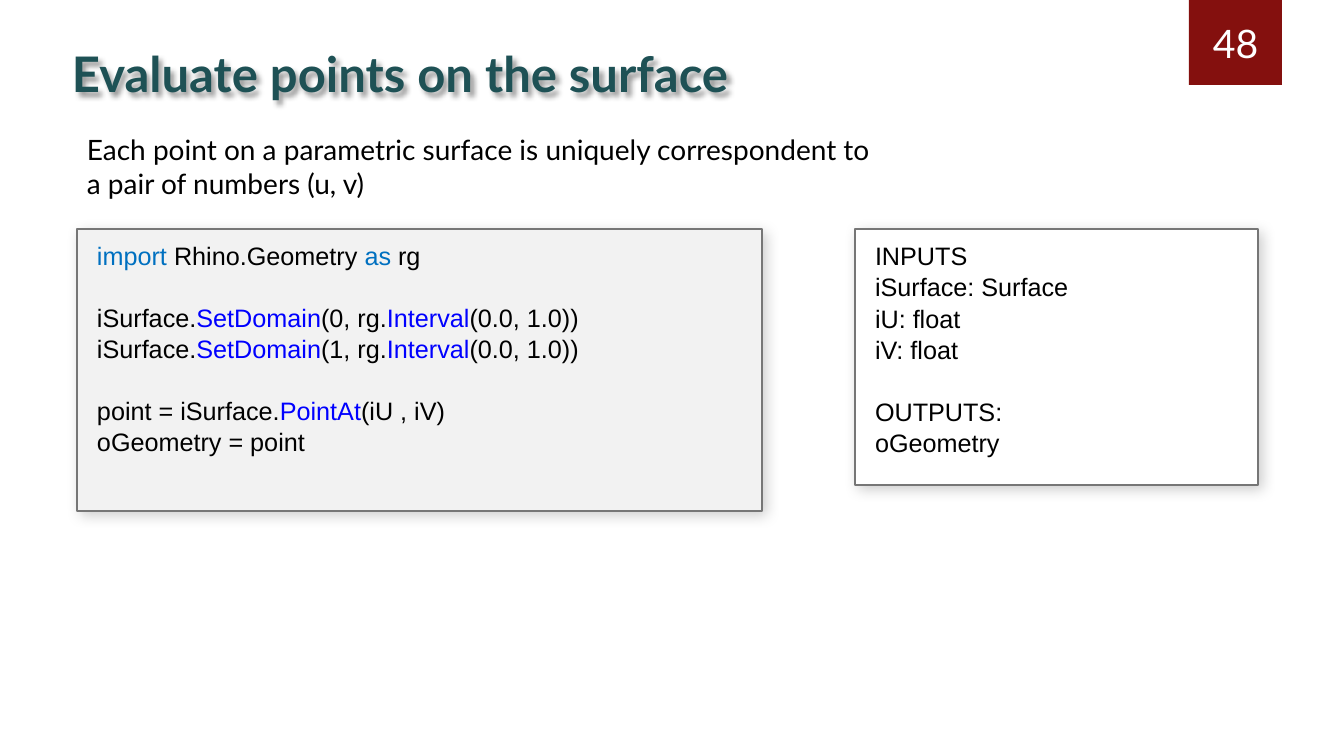
from dataclasses import dataclass

from lxml import etree
from pptx import Presentation
from pptx.dml.color import RGBColor
from pptx.enum.shapes import MSO_SHAPE
from pptx.enum.text import MSO_ANCHOR, PP_ALIGN
from pptx.oxml.ns import qn
from pptx.util import Emu, Pt

RECT = MSO_SHAPE.RECTANGLE
MIDDLE, TOP = MSO_ANCHOR.MIDDLE, MSO_ANCHOR.TOP
CENTER, LEFT = PP_ALIGN.CENTER, PP_ALIGN.LEFT
EMU_PER_PX = 914400 / 100.8


@dataclass(frozen=True)
class Theme:
    sans: str = "Lato"
    code_font: str = "Arial"
    title_size: int = 35
    badge_size: int = 28
    body_size: int = 20
    code_size: int = 18
    code_leading: float = 1.04
    group_gap: float = 21.6
    title: str = "1E5155"
    badge: str = "84100E"
    text: str = "000000"
    white: str = "FFFFFF"
    code_fill: str = "F2F2F2"
    border: str = "767676"
    keyword: str = "0070C0"
    call: str = "0000FF"


T = Theme()
TEXT, KEYWORD, CALL = T.text, T.keyword, T.call


def domain_line(axis):
    return [("iSurface.", TEXT), ("SetDomain", CALL), (f"({axis}, rg.", TEXT),
            ("Interval", CALL), ("(0.0, 1.0))", TEXT)]


CODE = [
    [[("import ", KEYWORD), ("Rhino.Geometry ", TEXT), ("as ", KEYWORD), ("rg", TEXT)]],
    [domain_line(axis) for axis in (0, 1)],
    [[("point = iSurface.", TEXT), ("PointAt", CALL), ("(iU , iV)", TEXT)],
     [("oGeometry = point", TEXT)]],
]
PORTS = [
    [[(line, TEXT)] for line in ("INPUTS", "iSurface: Surface", "iU: float", "iV: float")],
    [[(line, TEXT)] for line in ("OUTPUTS:", "oGeometry")],
]


def px(n):
    return Emu(round(n * EMU_PER_PX))


def rgb(value):
    return RGBColor.from_string(value)


def add_shadow(s, blur, dist, angle, alpha):
    s.shadow.inherit = False
    effects = s._element.spPr.find(qn("a:effectLst"))
    shadow = etree.SubElement(effects, qn("a:outerShdw"), blurRad=str(Pt(blur)),
                              dist=str(Pt(dist)), dir=str(angle * 60000),
                              algn="tl", rotWithShape="0")
    color = etree.SubElement(shadow, qn("a:srgbClr"), val="000000")
    etree.SubElement(color, qn("a:alpha"), val=str(alpha * 1000))


def add_rect(slide, box, fill):
    sp = slide.shapes.add_shape(RECT, *map(px, box))
    sp.shadow.inherit = False
    sp.fill.solid()
    sp.fill.fore_color.rgb = rgb(fill)
    sp.line.fill.background()
    return sp


def write_line(tf, text, size, color, bold=False, align=LEFT):
    p = tf.paragraphs[0]
    p.text = text
    p.alignment = align
    p.font.name = T.sans
    p.font.size = Pt(size)
    p.font.bold = bold
    p.font.color.rgb = rgb(color)


def page_badge(slide, box, number):
    tf = add_rect(slide, box, T.badge).text_frame
    tf.vertical_anchor = MIDDLE
    write_line(tf, number, T.badge_size, T.white, align=CENTER)


def text_block(slide, box, text, size, color, bold=False):
    sp = slide.shapes.add_textbox(*map(px, box))
    sp.text_frame.word_wrap = True
    write_line(sp.text_frame, text, size, color, bold)
    return sp


def listing_panel(slide, box, fill, groups):
    sp = add_rect(slide, box, fill)
    sp.line.color.rgb = rgb(T.border)
    sp.line.width = Pt(1)
    add_shadow(sp, 10, 3, 45, 20)
    tf = sp.text_frame
    tf.word_wrap = True
    tf.vertical_anchor = TOP
    tf.margin_left = tf.margin_right = px(20)
    tf.margin_top = tf.margin_bottom = px(10)
    p = None
    for group in groups:
        for row, line in enumerate(group):
            starts_group = p is not None and row == 0
            p = tf.paragraphs[0] if p is None else tf.add_paragraph()
            p.alignment = LEFT
            p.line_spacing = T.code_leading
            if starts_group:
                p.space_before = Pt(T.group_gap)
            p.font.name = T.code_font
            p.font.size = Pt(T.code_size)
            for text, color in line:
                r = p.add_run()
                r.text = text
                r.font.color.rgb = rgb(color)


def surface_slide(prs):
    slide = prs.slides.add_slide(prs.slide_layouts[6])
    page_badge(slide, (1189, 0, 93, 85), "48")
    title = text_block(slide, (62, 39, 1101, 65), "Evaluate points on the surface",
                       T.title_size, T.title, bold=True)
    add_shadow(title, 4, 3, 45, 40)
    left, top = 77, 229
    listing_panel(slide, (left, top, 685, 282), T.code_fill, CODE)
    text_block(slide, (left, 128, 813, 78),
               "Each point on a parametric surface is uniquely correspondent to "
               "a pair of numbers (u, v)", T.body_size, T.text)
    listing_panel(slide, (855, top, 403, 256), T.white, PORTS)


def main():
    prs = Presentation()
    prs.slide_width, prs.slide_height = px(1344), px(756)
    surface_slide(prs)
    prs.save("out.pptx")


if __name__ == "__main__":
    main()
